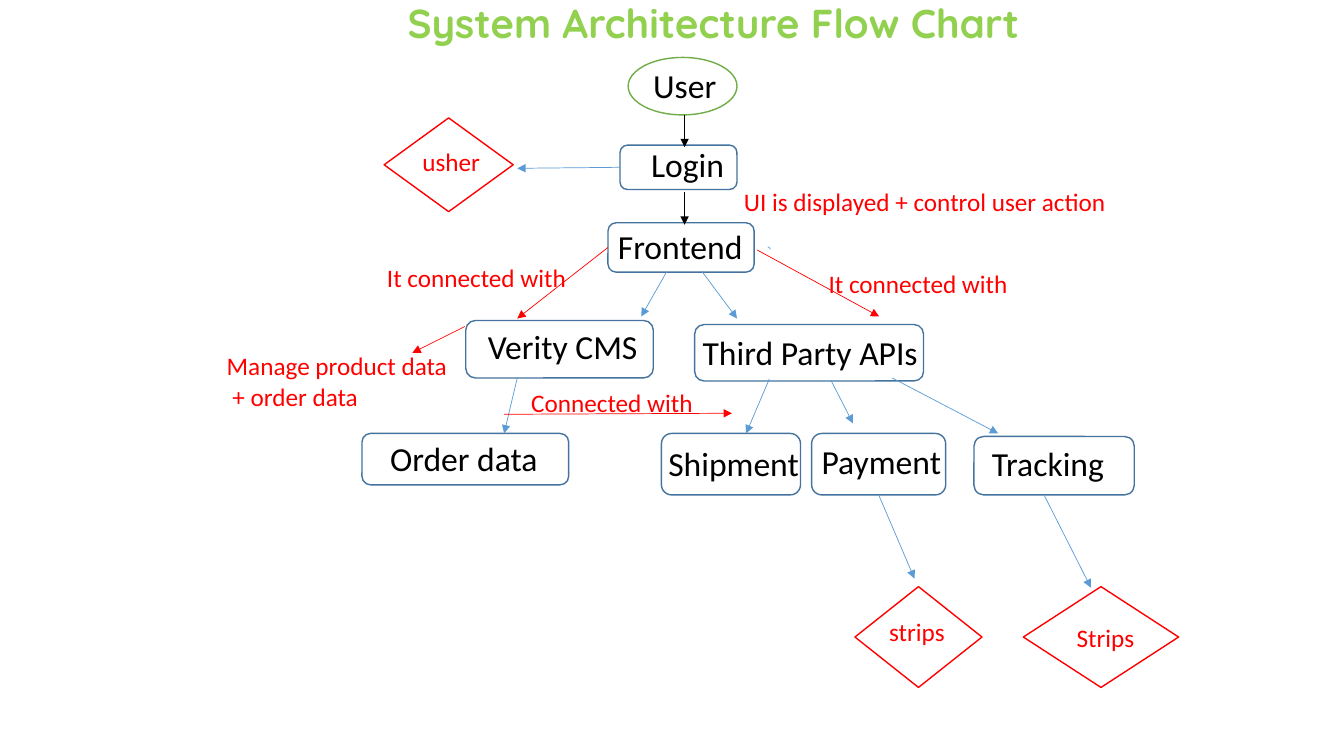
"""Build the system architecture flow chart slide."""
from lxml import etree
from pptx import Presentation
from pptx.dml.color import RGBColor
from pptx.enum.shapes import MSO_CONNECTOR, MSO_SHAPE as SHAPE
from pptx.enum.text import MSO_ANCHOR, PP_ALIGN
from pptx.oxml.ns import qn
from pptx.util import Inches, Pt

COLORS = {
    "title": "92D050", "user": "70AD47", "box": "43739E", "flow": "5B9BD5",
    "note": "FF0000", "black": "000000", "white": "FFFFFF",
}
BOTTOM, LEFT = 2, 1

deck = Presentation()
deck.slide_width, deck.slide_height = Inches(13.33), Inches(7.5)
page = deck.slides.add_slide(deck.slide_layouts[6])


def add_outline(kind, place, color, width=1):
    """Add an unfilled shape with a coloured outline."""
    shape = page.shapes.add_shape(kind, *[Inches(value) for value in place])
    shape.shadow.inherit = False
    shape.fill.background()
    shape.line.color.rgb = RGBColor.from_string(COLORS[color])
    shape.line.width = Pt(width)
    return shape


def add_text(text, place, size, color, font="Calibri"):
    """Add a wrapped text box in one font, size and colour."""
    box = page.shapes.add_textbox(*[Inches(value) for value in place])
    box.text_frame.word_wrap = True
    box.text_frame.text = text
    for para in box.text_frame.paragraphs:
        for span in para.runs:
            span.font.name = font
            span.font.size = Pt(size)
            span.font.color.rgb = RGBColor.from_string(COLORS[color])
    return box


title = add_text("System Architecture Flow Chart", (3.57, 0.02, 7.01, 0.5), 28.8, "title", "Quicksand")
title.text_frame.vertical_anchor = MSO_ANCHOR.BOTTOM
heading = title.text_frame.paragraphs[0]
heading.alignment = PP_ALIGN.CENTER
heading.line_spacing = 0.9
heading.runs[0].font.bold = True

user = add_outline(SHAPE.OVAL, (6.23, 0.57, 1.08, 0.57), "user")
user.fill.solid()
user.fill.fore_color.rgb = RGBColor.from_string(COLORS["white"])

boxes = {
    "login": (6.15, 1.44, 1.16, 0.44),
    "frontend": (6.03, 2.21, 1.45, 0.49),
    "apis": (6.89, 3.22, 2.27, 0.56),
    "cms": (4.62, 3.18, 1.86, 0.57),
    "order": (3.59, 4.3, 2.05, 0.51),
    "shipment": (6.56, 4.3, 1.38, 0.61),
    "tracking": (9.66, 4.33, 1.59, 0.58),
    "payment": (8.05, 4.3, 1.33, 0.61),
}
nodes = {name: add_outline(SHAPE.ROUNDED_RECTANGLE, place, "box") for name, place in boxes.items()}

for place in [(3.81, 1.17, 1.28, 0.93), (8.48, 5.82, 1.26, 1), (10.15, 5.82, 1.54, 1)]:
    add_outline(SHAPE.DIAMOND, place, "note")
add_outline(SHAPE.ARC, (7.59, 2.45, 0.05, 0.05), "flow", 0.5)

arrows = [
    ("black", (6.79, 1.14), (6.79, 1.46), None),
    ("black", (6.79, 1.9), (6.79, 2.23), None),
    ("flow", (6.15, 1.67), (5.13, 1.67), ("login", LEFT)),
    ("flow", (6.61, 2.7), (6.36, 3.14), None),
    ("flow", (6.96, 2.69), (7.31, 3.16), None),
    ("flow", (5.13, 3.75), (5, 4.3), None),
    ("flow", (7.63, 3.76), (7.4, 4.3), None),
    ("flow", (8.24, 3.77), (8.46, 4.2), None),
    ("flow", (8.85, 3.75), (9.9, 4.3), None),
    ("flow", (8.72, 4.91), (9.07, 5.74), ("payment", BOTTOM)),
    ("flow", (10.36, 4.92), (10.82, 5.83), None),
    ("note", (6.03, 2.45), (5.13, 3.16), ("frontend", LEFT)),
    ("note", (7.51, 2.48), (8.72, 3.14), None),
    ("note", (4.61, 3.24), (4.09, 3.5), None),
    ("note", (5, 4.11), (7.26, 4.1), None),
]
for color, start, end, joint in arrows:
    arrow = page.shapes.add_connector(MSO_CONNECTOR.STRAIGHT, *[Inches(value) for value in start + end])
    if joint:
        name, side = joint
        arrow.begin_connect(nodes[name], side)
    arrow.line.color.rgb = RGBColor.from_string(COLORS[color])
    arrow.line.width = Pt(0.5)
    etree.SubElement(arrow.line._get_or_add_ln(), qn("a:tailEnd"), type="triangle")
    etree.SubElement(arrow._element.spPr, qn("a:effectLst"))

node_labels = [
    ("User", (6.38, 0.59, 1.86, 0.5)),
    ("Login", (6.36, 1.38, 1.24, 0.5)),
    ("Frontend", (6.03, 2.19, 1.73, 0.5)),
    ("Verity CMS", (4.74, 3.18, 2.33, 0.5)),
    ("Third Party APIs", (6.87, 3.24, 2.7, 0.5)),
    ("Order data", (3.77, 4.3, 1.95, 0.5)),
    ("Shipment", (6.53, 4.34, 1.79, 0.5)),
    ("Payment", (8.05, 4.33, 1.64, 0.5)),
    ("Tracking", (9.74, 4.34, 1.43, 0.5)),
]
for text, place in node_labels:
    add_text(text, place, 24, "black")

notes = [
    ("usher", (4.09, 1.4, 1.09, 0.4)),
    ("UI is displayed + control user action", (7.28, 1.8, 3.97, 0.4)),
    ("It connected with", (3.74, 2.55, 2.17, 0.4)),
    ("It connected with", (8.12, 2.61, 2.46, 0.4)),
    ("Manage product data\n + order data", (2.15, 3.43, 2.59, 0.71)),
    ("Connected with", (5.17, 3.79, 2.31, 0.4)),
    ("strips", (8.72, 6.07, 1.38, 0.4)),
    ("Strips", (10.58, 6.12, 0.91, 0.4)),
]
for text, place in notes:
    add_text(text, place, 18, "note")

deck.save("out.pptx")
